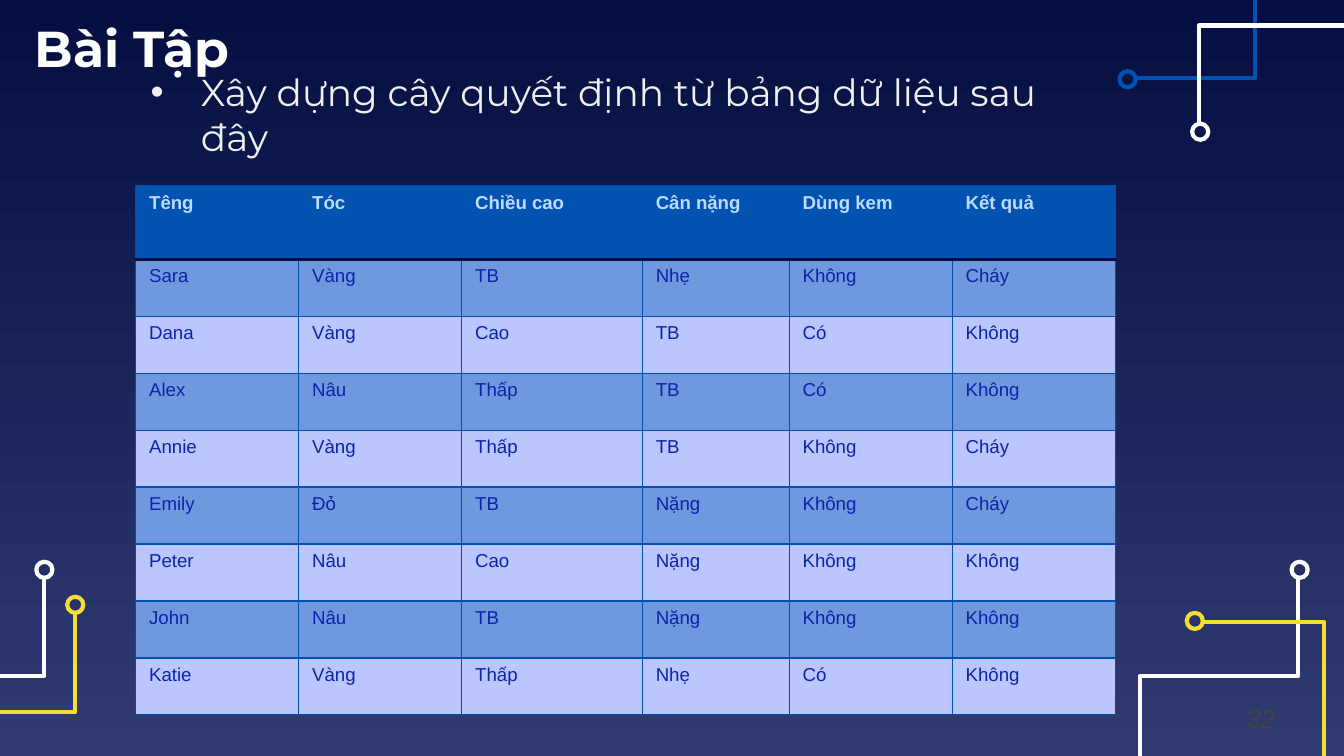
from copy import deepcopy

from lxml.etree import SubElement
from pptx import Presentation
from pptx.dml.color import RGBColor
from pptx.enum.shapes import MSO_SHAPE as Shape, PP_PLACEHOLDER as Holder
from pptx.enum.text import MSO_ANCHOR as Anchor, MSO_AUTO_SIZE as AutoSize, PP_ALIGN as Align
from pptx.oxml.ns import qn
from pptx.util import Inches, Pt

# Content
TITLE = "Bài Tập"
TASK = "Xây dựng cây quyết định từ bảng dữ liệu sau đây"
PAGE_NUMBER = "32"
ROWS = [
    ("Têng", "Tóc", "Chiều cao", "Cân nặng", "Dùng kem", "Kết quả"),
    ("Sara", "Vàng", "TB", "Nhẹ", "Không", "Cháy"),
    ("Dana", "Vàng", "Cao", "TB", "Có", "Không"),
    ("Alex", "Nâu", "Thấp", "TB", "Có", "Không"),
    ("Annie", "Vàng", "Thấp", "TB", "Không", "Cháy"),
    ("Emily", "Đỏ", "TB", "Nặng", "Không", "Cháy"),
    ("Peter", "Nâu", "Cao", "Nặng", "Không", "Không"),
    ("John", "Nâu", "TB", "Nặng", "Không", "Không"),
    ("Katie", "Vàng", "Thấp", "Nhẹ", "Có", "Không"),
]

# Look
SLIDE_WIDTH = 10
SLIDE_HEIGHT = SLIDE_WIDTH * 9 / 16
WHITE, YELLOW, BLUE, NAVY = "FFFFFF", "F5DE34", "0152B1", "040E41"
GRID, BAND, PALE = "0050AE", "6F98DF", "BAC6FD"
TABLE_BOX = (1.01, 1.38, 7.29, 3.94)
COLUMN_SHARES = (1.21, 1.21, 1.34, 1.09, 1.21, 1.21)
HEADER_HEIGHT = 0.55
RING = 0.12

# Circuit traces: colour, left and top of the end ring, points of the line
TRACES = [
    (WHITE, (9.61, 4.18), [(9.66, 4.29), (9.66, 5.03), (8.48, 5.03), (8.48, 5.72)]),
    (BLUE, (8.33, 0.53), [(8.45, 0.58), (9.34, 0.58), (9.34, -0.52)]),
    (WHITE, (8.87, 0.92), [(8.92, 0.93), (8.92, 0.19), (10.11, 0.19), (10.11, -0.52)]),
    (YELLOW, (8.83, 4.56), [(8.94, 4.63), (9.85, 4.63), (9.85, 5.71)]),
    (WHITE, (0.27, 4.18), [(0.33, 4.29), (0.33, 5.03), (-0.86, 5.03), (-0.86, 5.72)]),
    (YELLOW, (0.5, 4.44), [(0.56, 4.56), (0.56, 5.3), (-0.63, 5.3), (-0.63, 5.98)]),
]


def color(code):
    return RGBColor.from_string(code)


def place(box, left, top, width, height):
    box.left, box.top = Inches(left), Inches(top)
    box.width, box.height = Inches(width), Inches(height)


def write(frame, text, size, font, code, bold=False):
    frame.text = text
    para = frame.paragraphs[0]
    para.alignment = Align.LEFT
    para.font.size, para.font.name, para.font.bold = Pt(size), font, bold
    para.font.color.rgb = color(code)
    return para


def set_up(frame):
    frame.auto_size = AutoSize.NONE
    frame.word_wrap = True
    frame.vertical_anchor = Anchor.MIDDLE
    frame.margin_left = frame.margin_right = Inches(0.1)
    frame.margin_top = frame.margin_bottom = Inches(0.1)


def outline(shape, code):
    shape.shadow.inherit = False
    shape.fill.background()
    shape.line.color.rgb = color(code)
    shape.line.width = Pt(2.25)


def draw_trace(page, code, ring_at, points):
    start, *rest = [(round(x * 100), round(y * 100)) for x, y in points]
    builder = page.shapes.build_freeform(*start, scale=Inches(1) / 100)
    builder.add_line_segments(rest, close=False)
    outline(builder.convert_to_shape(), code)
    left, top = map(Inches, ring_at)
    ring = page.shapes.add_shape(Shape.OVAL, left, top, Inches(RING), Inches(RING))
    outline(ring, code)


def set_borders(cell, borders):
    properties = cell._tc.get_or_add_tcPr()
    for index, (side, (code, width)) in enumerate(borders.items()):
        line = SubElement(properties, qn("a:ln" + side), w=str(Pt(width)))
        fill = SubElement(line, qn("a:solidFill"))
        SubElement(fill, qn("a:srgbClr"), val=code)
        properties.insert(index, line)


def add_data_table(page):
    width, height = TABLE_BOX[2:]
    frame = page.shapes.add_table(len(ROWS), len(ROWS[0]), *map(Inches, TABLE_BOX))
    table = frame.table
    for column, share in zip(table.columns, COLUMN_SHARES):
        column.width = Inches(width * share / sum(COLUMN_SHARES))
    row_height = (height - HEADER_HEIGHT) / (len(ROWS) - 1)
    thin, thick = (GRID, 0.75), (NAVY, 2)
    for r, values in enumerate(ROWS):
        header = r == 0
        table.rows[r].height = Inches(HEADER_HEIGHT if header else row_height)
        fill = BLUE if header else BAND if r % 2 else PALE
        borders = {"L": thin, "R": thin, "T": thick if r == 1 else thin,
                   "B": thick if header else thin}
        for c, value in enumerate(values):
            cell = table.cell(r, c)
            write(cell.text_frame, value, 10, "Arial", "BDDBFF" if header else "0A24A9", header)
            cell.fill.solid()
            cell.fill.fore_color.rgb = color(fill)
            set_borders(cell, borders)


def add_page_number(page):
    for holder in page.slide_layout.placeholders:
        if holder.placeholder_format.type == Holder.SLIDE_NUMBER:
            page.shapes._spTree.append(deepcopy(holder._element))
    number = page.shapes[-1]
    place(number, 8.99, 5.14, 0.6, 0.4)
    set_up(number.text_frame)
    para = write(number.text_frame, PAGE_NUMBER, 14, "Arial", "434343")
    para.font.italic = True
    para.alignment = Align.RIGHT


def main():
    deck = Presentation()
    deck.slide_width, deck.slide_height = Inches(SLIDE_WIDTH), Inches(SLIDE_HEIGHT)
    page = deck.slides.add_slide(deck.slide_layouts[1])
    title, body = page.placeholders

    # Background, dark at the top
    background = page.background.fill
    background.gradient()
    background.gradient_angle = 270
    for stop, code in zip(background.gradient_stops, (NAVY, "303B72")):
        stop.color.rgb = color(code)

    for trace in TRACES:
        draw_trace(page, *trace)

    # Title and task
    place(title, 0.16, 0.09, 8.43, 0.52)
    set_up(title.text_frame)
    write(title.text_frame, TITLE, 27, "Montserrat", WHITE, True)

    place(body, 1.02, 0.09, 7.23, 1.52)
    set_up(body.text_frame)
    properties = body.text_frame.paragraphs[0]._p.get_or_add_pPr()
    properties.set("marL", str(Inches(0.15)))
    properties.set("indent", "0")
    SubElement(properties, qn("a:buNone"))
    para = write(body.text_frame, TASK, 20, "Montserrat", "EFEFEF")
    para.space_before = Pt(0)

    add_data_table(page)
    add_page_number(page)
    deck.save("out.pptx")


if __name__ == "__main__":
    main()
